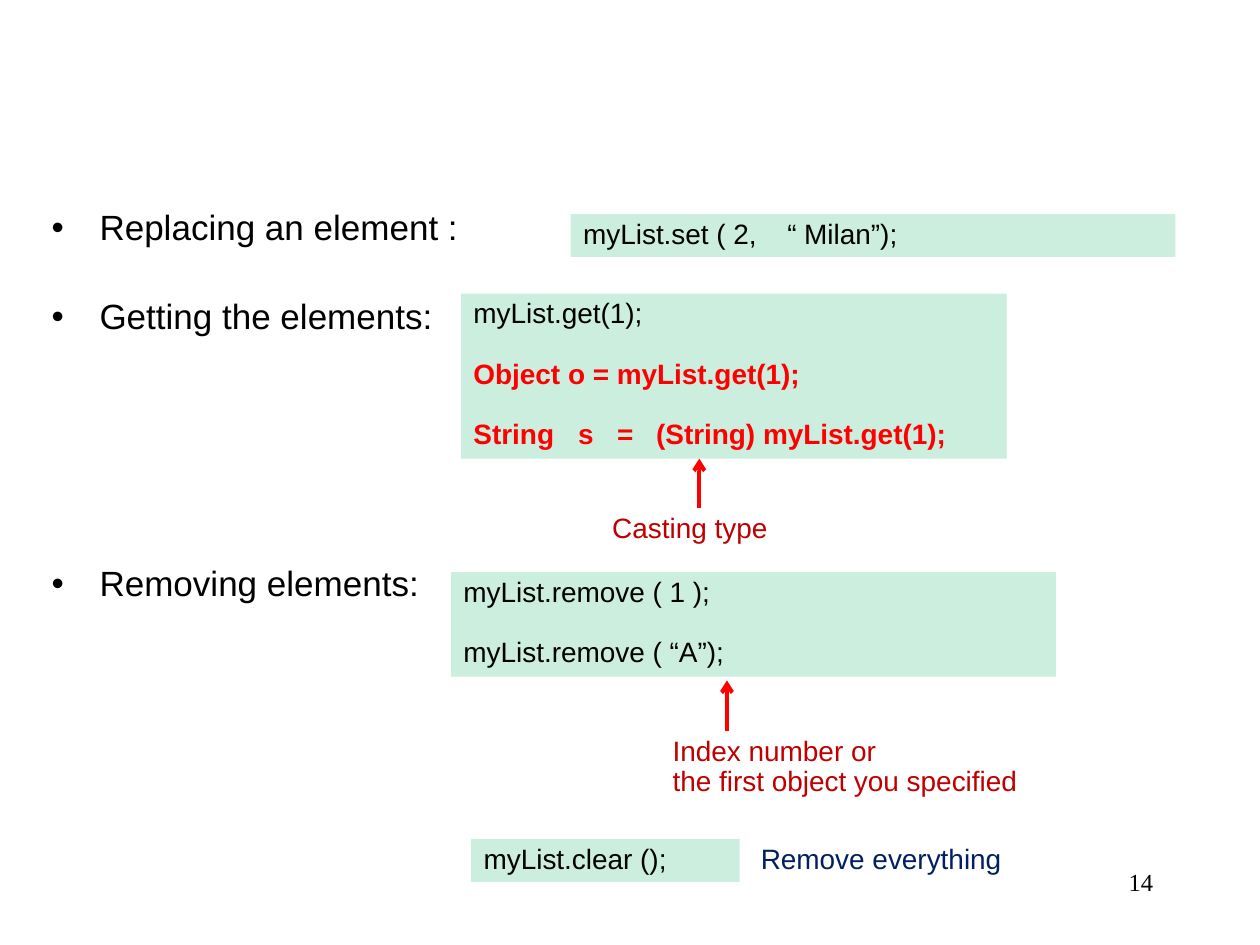
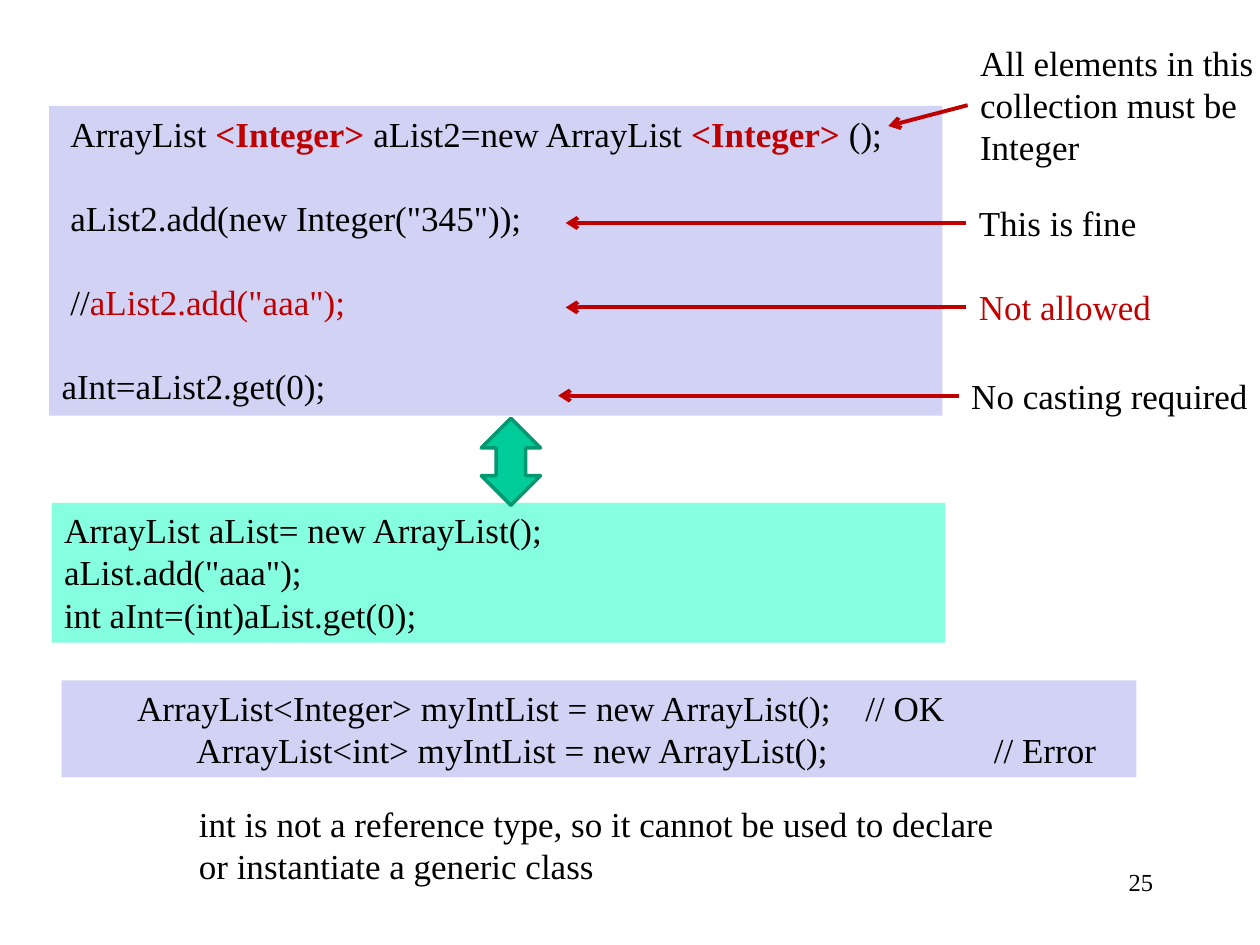
from lxml import etree
from pptx import Presentation, util as u
from pptx.dml.color import RGBColor
from pptx.enum import shapes, text
from pptx.oxml.ns import qn

BLACK = RGBColor(0x00, 0x00, 0x00)
RED = RGBColor(0xFF, 0x00, 0x00)
DARK_RED = RGBColor(0xC0, 0x00, 0x00)
NAVY = RGBColor(0x00, 0x20, 0x60)
MINT = RGBColor(0xCC, 0xEE, 0xDF)
LILAC = RGBColor(0xD2, 0xD2, 0xF4)
AQUA = RGBColor(0x85, 0xFF, 0xE0)
GREEN = RGBColor(0x00, 0xCC, 0x99)
DARK_GREEN = RGBColor(0x00, 0x97, 0x71)

SANS = dict(font="Arial", size=16, spacing=0.9)
SERIF = dict(font="Times New Roman", size=20, spacing=1)
PAGE_NUMBER = dict(font="Times New Roman", size=14, spacing=1)
PAGE_NUMBER_AT = (7.17, 6.83, 2.08, 0.5)
CENTER, RIGHT = text.PP_ALIGN.CENTER, text.PP_ALIGN.RIGHT

# A paragraph is a string or a list of runs; a run is a string or (string, format).
EMPHASIS = dict(color=RED, bold=True)
GENERIC = dict(color=DARK_RED, bold=True)

# Bullet text and the number of free lines above it
TOPICS_AT = (0.31, 1.62, 6.73, 4.88)
TOPICS = [("Replacing an element :", 0), ("Getting the elements:", 1), ("Removing elements:", 5)]
TOPIC_PITCH = 25.4

# Place, paragraphs, format
LIST_CODE = [
    ((4.53, 1.7, 4.8, 0.34), ["myList.set ( 2,\t“ Milan”);"], dict(tabs=[1.62])),
    ((3.66, 2.33, 4.33, 1.31),
     ["myList.get(1);",
      [("Object o = myList.get(1);", EMPHASIS)],
      [("String\ts\t=\t(String) myList.get(1);", EMPHASIS)]],
     dict(free_lines=1, tabs=[0.83, 1.14, 1.45])),
    ((3.58, 4.54, 4.8, 0.83), ["myList.remove ( 1 );", "myList.remove ( “A”);"],
     dict(free_lines=1)),
    ((3.74, 6.66, 2.13, 0.34), ["myList.clear ();"], {}),
]
LIST_NOTES = [
    ((4.45, 4.03, 2.05, 0.34), ["Casting type"], dict(color=DARK_RED, align=CENTER)),
    ((5.24, 5.8, 3.47, 0.59), ["Index number or", "the first object you specified"],
     dict(color=DARK_RED)),
    ((5.94, 6.66, 3.47, 0.34), ["Remove everything"], dict(color=NAVY)),
]
LIST_ARROWS = [((5.55, 4.03), (5.55, 3.64)), ((5.77, 5.8), (5.77, 5.4))]

GENERIC_CODE = [
    ((0.39, 0.84, 7.09, 2.46), LILAC,
     [["ArrayList ", ("<Integer> ", GENERIC), "aList2=new ArrayList ",
       ("<Integer>", GENERIC), " ();"],
      'aList2.add(new Integer("345"));',
      ["//", ('aList2.add("aaa");', dict(color=DARK_RED))],
      "aInt=aList2.get(0);"],
     dict(free_lines=1, indents=[0.07, 0.07, 0.07, 0])),
    ((0.41, 3.99, 7.09, 1.11), AQUA,
     ["ArrayList aList= new ArrayList();", 'aList.add("aaa");', "int aInt=(int)aList.get(0);"],
     {}),
    ((0.49, 5.4, 8.53, 0.77), LILAC,
     ["\tArrayList<Integer> myIntList = new ArrayList();\t// OK",
      "\tArrayList<int> myIntList = new ArrayList();\t// Error"],
     dict(tabs=[[0.5, 6.28], [0.97, 7.3]])),
]
# Place, words, colour, arrow tip
REMARKS = [
    ((7.68, 0.28, 2.32, 1.11), "All elements in this collection must be Integer", BLACK, (7.05, 1)),
    ((7.67, 1.55, 1.84, 0.44), "This is fine", BLACK, (4.49, 1.77)),
    ((7.67, 2.22, 1.84, 0.44), "Not allowed", DARK_RED, (4.49, 2.44)),
    ((7.61, 2.92, 2.39, 0.44), "No casting required", BLACK, (4.43, 3.14)),
]
SWAP_ARROW_AT = (3.82, 3.32, 0.47, 0.69)
CONCLUSION_AT = (1.48, 6.32, 6.74, 0.77)
CONCLUSION = ("int is not a reference type, so it cannot be used to declare "
              "or instantiate a generic class")


def inches(values):
    return [u.Inches(v) for v in values]


def set_tabs(p, stops):
    tab_list = etree.SubElement(p._p.get_or_add_pPr(), qn("a:tabLst"))
    for stop in stops:
        etree.SubElement(tab_list, qn("a:tab"), pos=str(u.Inches(stop)), algn="l")


def set_indent(p, left, first=0):
    pPr = p._p.get_or_add_pPr()
    pPr.set("marL", str(u.Inches(left)))
    pPr.set("indent", str(u.Inches(first)))


def write(sp, paragraphs, font, size, spacing, color=BLACK, align=None, free_lines=0,
          tabs=(), indents=(), right_inset=0.1):
    """Fill a shape with text; tabs holds one list of stops, or one list per paragraph."""
    tf = sp.text_frame
    tf.word_wrap = True
    tf.vertical_anchor = text.MSO_ANCHOR.TOP
    tf.margin_right = u.Inches(right_inset)
    for i, runs in enumerate(paragraphs):
        p = tf.add_paragraph() if i else tf.paragraphs[0]
        p.alignment = align or text.PP_ALIGN.LEFT
        p.line_spacing = spacing
        p.space_before = u.Pt(size * 1.2 * spacing * free_lines if i else 0)
        if indents:
            set_indent(p, indents[i])
        if tabs:
            set_tabs(p, tabs[i] if isinstance(tabs[0], list) else tabs)
        for run in [runs] if isinstance(runs, str) else runs:
            words, look = (run, {}) if isinstance(run, str) else run
            r = p.add_run()
            r.text = words
            r.font.name, r.font.size = font, u.Pt(size)
            r.font.bold = look.get("bold", False)
            r.font.color.rgb = look.get("color", color)


def add_text(slide, at, paragraphs, **look):
    sp = slide.shapes.add_textbox(*inches(at))
    write(sp, paragraphs, **look)
    return sp


def add_filled(slide, kind, at, fill, line=None):
    sp = slide.shapes.add_shape(kind, *inches(at))
    sp.shadow.inherit = False
    sp.fill.solid()
    sp.fill.fore_color.rgb = fill
    if line is None:
        sp.line.fill.background()
    else:
        sp.line.color.rgb = line
        sp.line.width = u.Pt(2)
    return sp


def add_code(slide, at, fill, paragraphs, **look):
    write(add_filled(slide, shapes.MSO_SHAPE.RECTANGLE, at, fill), paragraphs, **look)


def add_arrow(slide, start, end, color, source=None):
    """Draw an arrow; with a source it starts at the middle of the source's left side."""
    line = slide.shapes.add_connector(shapes.MSO_CONNECTOR.STRAIGHT, *inches(start + end))
    if source is not None:
        line.begin_connect(source, 1)
    line.line.color.rgb = color
    line.line.width = u.Pt(2.25)
    etree.SubElement(line.line._get_or_add_ln(), qn("a:tailEnd"), type="arrow")
    etree.SubElement(line._element.spPr, qn("a:effectLst"))


def add_topics(slide):
    body = slide.placeholders[1]
    body.left, body.top, body.width, body.height = inches(TOPICS_AT)
    write(body, [words for words, _ in TOPICS], font="Arial", size=20, spacing=0.9)
    for p, (_, free_lines) in zip(body.text_frame.paragraphs, TOPICS):
        p.space_before = u.Pt(4 + TOPIC_PITCH * free_lines)
        set_indent(p, 0.38, -0.38)
        etree.SubElement(p._p.get_or_add_pPr(), qn("a:buChar"), char="•")


def add_slide(prs, layout, number):
    slide = prs.slides.add_slide(prs.slide_layouts[layout])
    if slide.shapes.title is not None:
        title = slide.shapes.title._element
        title.getparent().remove(title)
    add_text(slide, PAGE_NUMBER_AT, [number], align=RIGHT, **PAGE_NUMBER)
    return slide


def build_list_slide(prs):
    slide = add_slide(prs, 1, "14")
    add_topics(slide)
    for at, paragraphs, look in LIST_CODE:
        add_code(slide, at, MINT, paragraphs, **SANS, **look)
    for at, paragraphs, look in LIST_NOTES:
        add_text(slide, at, paragraphs, **SANS, **look)
    for start, end in LIST_ARROWS:
        add_arrow(slide, start, end, RED)


def build_generics_slide(prs):
    slide = add_slide(prs, 6, "25")
    for at, fill, paragraphs, look in GENERIC_CODE:
        add_code(slide, at, fill, paragraphs, **SERIF, **look)
    for at, words, color, tip in REMARKS:
        remark = add_text(slide, at, [words], color=color, right_inset=0, **SERIF)
        add_arrow(slide, at[:2], tip, DARK_RED, source=remark)
    add_filled(slide, shapes.MSO_SHAPE.UP_DOWN_ARROW, SWAP_ARROW_AT, GREEN, DARK_GREEN)
    add_text(slide, CONCLUSION_AT, [CONCLUSION], **SERIF)


def main():
    prs = Presentation()
    prs.slide_width, prs.slide_height = inches((10, 7.5))
    build_list_slide(prs)
    build_generics_slide(prs)
    prs.save("out.pptx")


if __name__ == "__main__":
    main()
